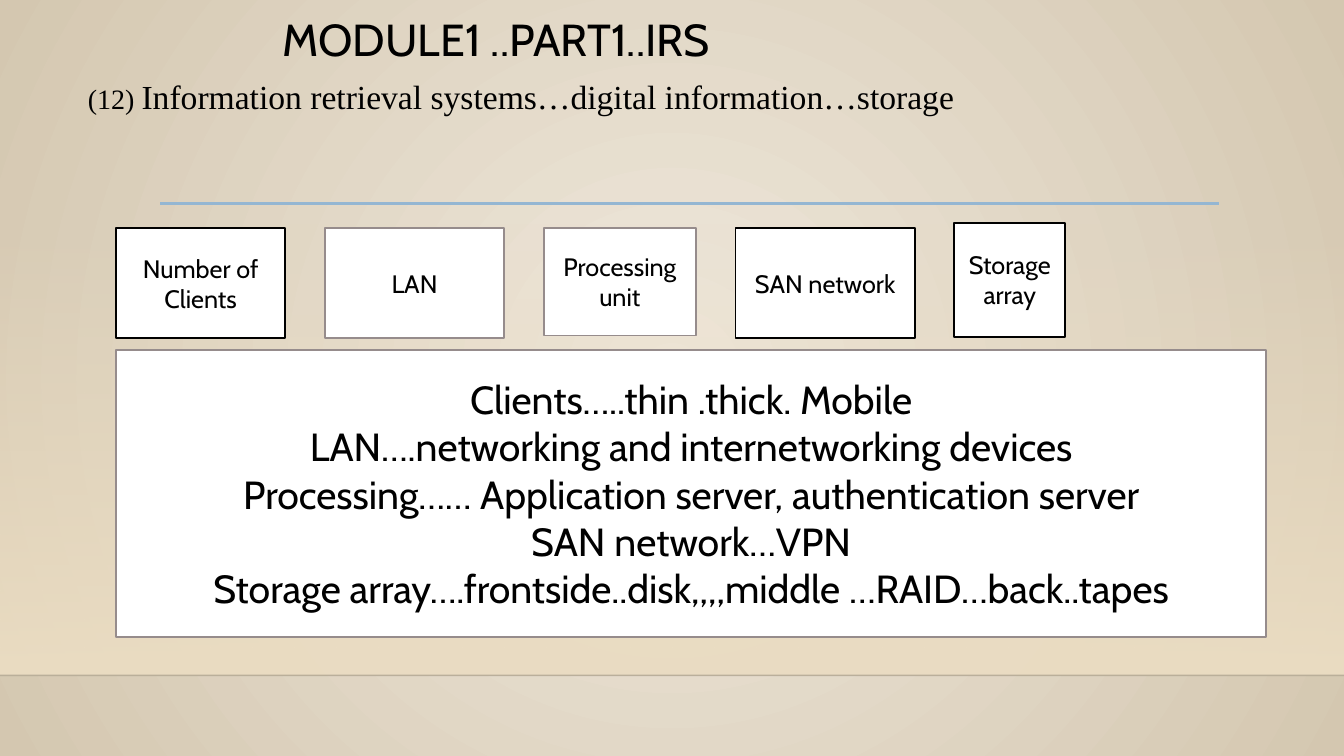
from lxml.etree import SubElement
from pptx import Presentation
from pptx.dml.color import RGBColor
from pptx.enum.shapes import MSO_CONNECTOR, MSO_SHAPE
from pptx.enum.text import MSO_ANCHOR, MSO_AUTO_SIZE, PP_ALIGN
from pptx.oxml.ns import qn
from pptx.util import Pt

SLIDE_WIDTH, SLIDE_HEIGHT = 960, 540
BLACK, GREY, WHITE = "000000", "968C8C", "FFFFFF"

STAGES = [
    ("Number of Clients", 121, 0, 79, BLACK),
    ("LAN", 128.2, 0, 79, GREY),
    ("Processing unit", 108.7, 0, 77, GREY),
    ("SAN network", 128.2, 0, 79, BLACK),
    ("Storage array", 79.2, -3.6, 81.4, BLACK),
]
DETAILS = [
    "Clients…..thin .thick. Mobile",
    "LAN….networking and internetworking devices",
    "Processing…… Application server, authentication server",
    "SAN network…VPN",
    "Storage array….frontside..disk,,,,middle …RAID…back..tapes",
]


def rgb(color):
    return RGBColor.from_string(color)


def set_font(font, size, name="Cabin"):
    font.size = Pt(size)
    font.name = name
    font.color.rgb = rgb(BLACK)


def set_opacity(fill_element, percent):
    color = next(fill_element.iter(qn("a:srgbClr")))
    SubElement(color, qn("a:alpha")).set("val", str(percent * 1000))


def fill_gradient(fill, start, end):
    fill.gradient()
    for stop, color in zip(fill.gradient_stops, (start, end)):
        stop.color.rgb = rgb(color)


def place(shape, box):
    shape.left, shape.top, shape.width, shape.height = map(Pt, box)


def add_rule(slide, left, top, width, color, weight):
    rule = slide.shapes.add_connector(
        MSO_CONNECTOR.STRAIGHT, Pt(left), Pt(top), Pt(left + width), Pt(top))
    rule.line.color.rgb = rgb(color)
    rule.line.width = Pt(weight)
    SubElement(rule._element.spPr, qn("a:effectLst"))
    return rule


def add_backdrop(slide, box):
    left, top, width, height = box
    fill_gradient(slide.background.fill, "EFE8DC", "D4C7B0")
    gradient = next(slide._element.iter(qn("a:gradFill")))
    gradient.remove(gradient.find(qn("a:lin")))
    circle = SubElement(gradient, qn("a:path"))
    circle.set("path", "circle")
    center = SubElement(circle, qn("a:fillToRect"))
    for side in "ltrb":
        center.set(side, "50000")

    wall = slide.shapes.add_shape(MSO_SHAPE.RECTANGLE, *map(Pt, box))
    wall.shadow.inherit = False
    wall.line.fill.background()
    fill_gradient(wall.fill, "EBDDC3", "EBDDC3")
    wall.fill.gradient_angle = 270
    set_opacity(wall._element.spPr, 0)

    floor_edge = add_rule(slide, left, top + height, width, "000001", 1)
    set_opacity(floor_edge._element.spPr, 20)
    add_rule(slide, left + 114.5, top - 13.7, 756.5, "94B6D2", 2.5)


def format_heading(placeholder, box, indent, line_spacing):
    place(placeholder, box)
    frame = placeholder.text_frame
    frame.auto_size = MSO_AUTO_SIZE.NONE
    frame.word_wrap = True
    frame.vertical_anchor = MSO_ANCHOR.TOP
    paragraph = frame.paragraphs[0]
    properties = paragraph._p.get_or_add_pPr()
    properties.set("marL", str(Pt(indent)))
    properties.set("indent", "0")
    SubElement(properties, qn("a:buNone"))
    paragraph.alignment = PP_ALIGN.LEFT
    paragraph.line_spacing = line_spacing
    paragraph.space_before = Pt(0)
    return paragraph


def add_headings(slide, box):
    left, top, width, height = box
    title = slide.shapes.title
    title.text_frame.text = "MODULE1 ..PART1..IRS"
    heading = format_heading(title, (left + 59.8, top, 756, 54), 92, 0.9)
    set_font(heading.runs[0].font, 32)

    topic = format_heading(
        slide.placeholders[1], (left, top + 35.3, width, height - 35.3), 13, 1.2)
    for words, size in (
        ("(12) ", 20),
        ("Information retrieval systems…digital information…storage", 24),
    ):
        run = topic.add_run()
        run.text = words
        set_font(run.font, size, "Times New Roman")


def add_panel(slide, box, lines, size, outline):
    panel = slide.shapes.add_shape(MSO_SHAPE.RECTANGLE, *map(Pt, box))
    panel.shadow.inherit = False
    panel.fill.solid()
    panel.fill.fore_color.rgb = rgb(WHITE)
    panel.line.color.rgb = rgb(outline)
    panel.line.width = Pt(1.25)
    frame = panel.text_frame
    frame.word_wrap = True
    frame.vertical_anchor = MSO_ANCHOR.MIDDLE
    frame.text = "\n".join(lines)
    for paragraph in frame.paragraphs:
        paragraph.alignment = PP_ALIGN.CENTER
        set_font(paragraph.runs[0].font, size)


def add_storage_chain(slide, box):
    left, top, width, height = box
    stage_left = left
    for label, stage_width, rise, stage_height, outline in STAGES:
        add_panel(slide, (stage_left, top + rise, stage_width, stage_height),
                  [label], 18, outline)
        stage_left += stage_width + 28.2
    add_panel(slide, (left, top + 87.1, width, height - 87.1), DETAILS, 28, GREY)


def main():
    deck = Presentation()
    deck.slide_width, deck.slide_height = Pt(SLIDE_WIDTH), Pt(SLIDE_HEIGHT)
    slide = deck.slides.add_slide(deck.slide_layouts[1])
    add_backdrop(slide, (0, 159, SLIDE_WIDTH, 323.4))
    add_headings(slide, (42.5, 9.4, 862, 463.7))
    add_storage_chain(slide, (82.8, 162.7, 821.5, 292.3))
    deck.save("out.pptx")


if __name__ == "__main__":
    main()
